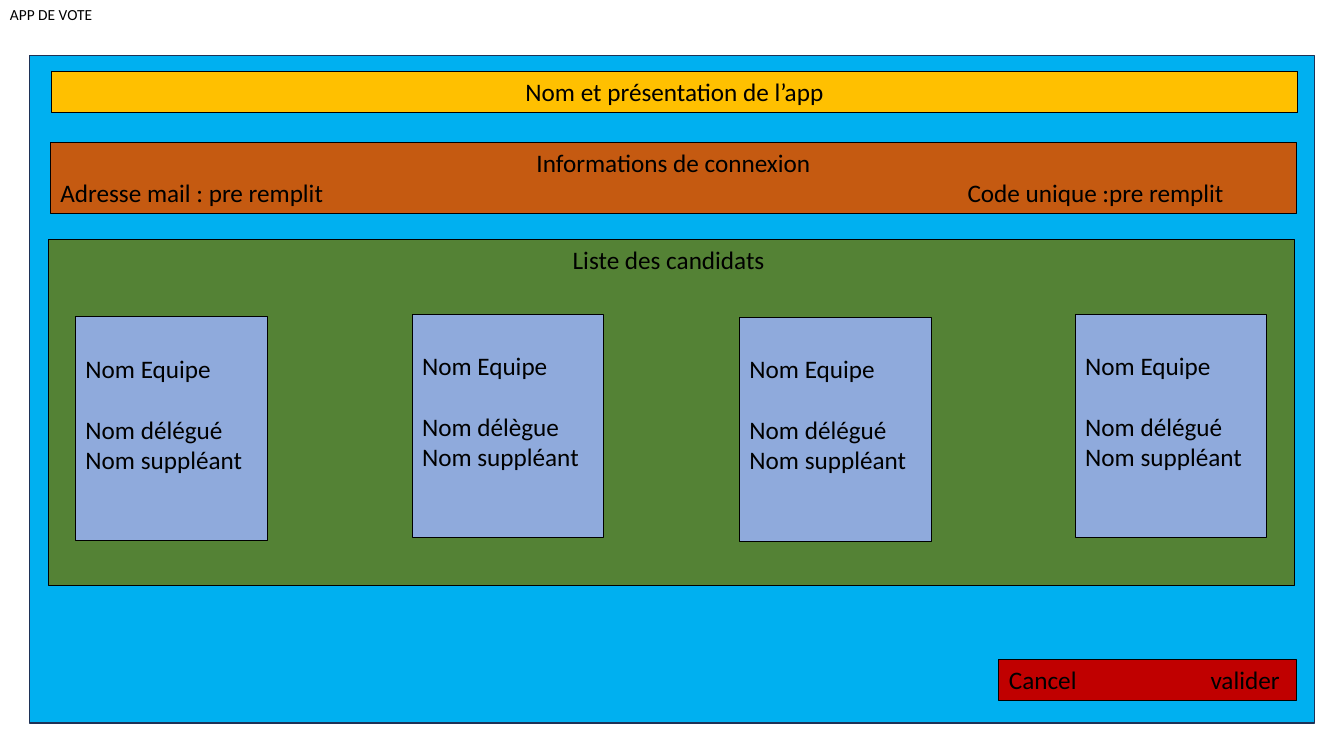
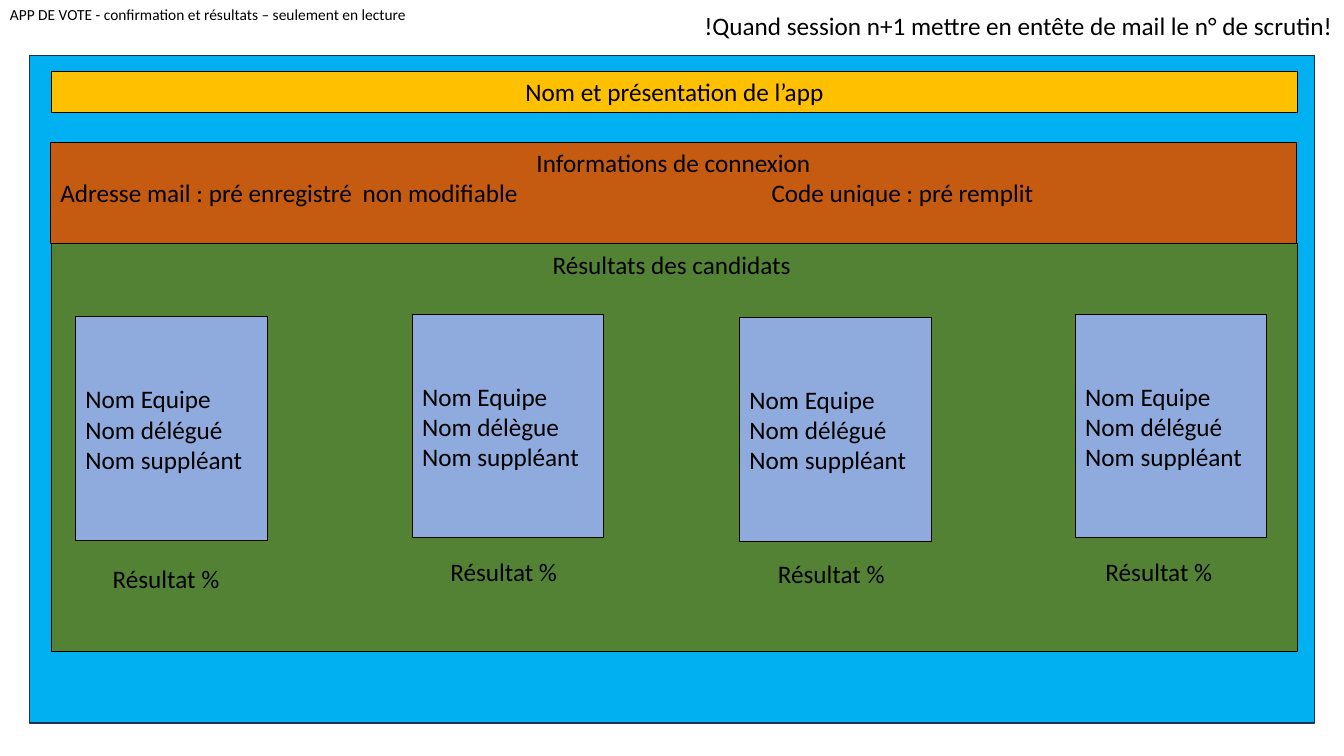
"""Build the two screen mock-ups of the voting application."""
from dataclasses import dataclass
from typing import NamedTuple

from lxml import etree
from pptx import Presentation
from pptx.dml.color import RGBColor
from pptx.enum.shapes import MSO_SHAPE
from pptx.enum.text import MSO_ANCHOR, PP_ALIGN
from pptx.oxml.ns import qn
from pptx.util import Pt

RECT = MSO_SHAPE.RECTANGLE
TOP = MSO_ANCHOR.TOP
LEFT, CENTER = PP_ALIGN.LEFT, PP_ALIGN.CENTER


@dataclass(frozen=True)
class Theme:
    font: str = "Calibri"
    title_size: float = 11
    body_size: float = 18
    line_height: float = 22
    inset: float = 3.6
    text: str = "000000"
    border: str = "000000"
    frame: str = "00B0F0"
    frame_border: str = "1E3256"
    header: str = "FFC000"
    login: str = "C55A11"
    panel: str = "548235"
    card: str = "8FAADC"
    buttons: str = "C00000"


class Box(NamedTuple):
    left: float
    top: float
    width: float
    height: float


class Line(NamedTuple):
    columns: tuple[str, ...]
    align: PP_ALIGN = LEFT
    tabs: tuple[float, ...] = ()
    before: float = 0


class Candidate(NamedTuple):
    left: float
    top: float
    delegate: str
    result_left: float
    result_top: float


@dataclass(frozen=True)
class Screen:
    title: str
    login_height: float
    login_line: Line
    panel: Box
    panel_title: str
    lines_above: int
    delegate_gap: float


THEME = Theme()
FRAME = Box(20.9, 39.6, 918, 476.8)
HEADER = Box(36.8, 51.1, 890, 29.1)
BUTTONS = Box(713.6, 471.2, 212.6, 29.1)
NOTICE = Box(496, 3.6, 464, 29)
LOGIN_LEFT, LOGIN_TOP, LOGIN_WIDTH = 36, 101.5, 890
CARD_WIDTH, CARD_HEIGHT = 136.9, 159.8

CANDIDATES = (
    Candidate(54, 226.4, "Nom délégué", 73.4, 398.9),
    Candidate(294.4, 224.5, "Nom délègue", 314.6, 393.8),
    Candidate(528.3, 226.8, "Nom délégué", 548.6, 395.3),
    Candidate(768.1, 224.5, "Nom délégué", 782.6, 393.8),
)

VOTE = Screen(
    title="APP DE VOTE",
    login_height=50.9,
    login_line=Line(("Adresse mail : pre remplit", "Code unique :pre remplit"), tabs=(648,)),
    panel=Box(34.6, 171, 890, 247.2),
    panel_title="Liste des candidats ",
    lines_above=1,
    delegate_gap=THEME.line_height,
)
RESULTS = Screen(
    title="APP DE VOTE - confirmation et résultats – seulement en lecture",
    login_height=72.7,
    login_line=Line(
        ("Adresse mail : pré enregistré", "non modifiable", "Code unique : pré remplit"),
        tabs=(216, 508),
    ),
    panel=Box(36.8, 174.3, 890, 290.9),
    panel_title="Résultats des candidats ",
    lines_above=2,
    delegate_gap=0,
)


def set_tabs(p, stops: tuple[float, ...]) -> None:
    tabs = etree.SubElement(p._p.get_or_add_pPr(), qn("a:tabLst"))
    for stop in stops:
        etree.SubElement(tabs, qn("a:tab"), pos=str(Pt(stop)), algn="l")


def write(sp, lines: tuple[Line, ...], *, size: float = THEME.body_size,
          top: float = THEME.inset, color: str = THEME.text) -> None:
    tf = sp.text_frame
    tf.word_wrap = True
    tf.vertical_anchor = TOP
    tf.margin_top = Pt(top)
    for i, line in enumerate(lines):
        p = tf.add_paragraph() if i else tf.paragraphs[0]
        p.alignment = line.align
        p.space_before = Pt(line.before)
        if line.tabs:
            set_tabs(p, line.tabs)
        r = p.add_run()
        r.text = "\t".join(line.columns)
        r.font.name = THEME.font
        r.font.size = Pt(size)
        r.font.color.rgb = RGBColor.from_string(color)


def add_rect(s, box: Box, fill: str, *, border: str = THEME.border, weight: float = 0.75):
    sp = s.shapes.add_shape(RECT, *map(Pt, box))
    sp.shadow.inherit = False
    sp.fill.solid()
    sp.fill.fore_color.rgb = RGBColor.from_string(fill)
    sp.line.color.rgb = RGBColor.from_string(border)
    sp.line.width = Pt(weight)
    return sp


def add_text(s, box: Box, text: str, *, size: float = THEME.body_size) -> None:
    write(s.shapes.add_textbox(*map(Pt, box)), (Line((text,)),), size=size)


def add_card(s, candidate: Candidate, screen: Screen) -> None:
    sp = add_rect(s, Box(candidate.left, candidate.top, CARD_WIDTH, CARD_HEIGHT), THEME.card)
    lines = (
        Line(("Nom Equipe",)),
        Line((candidate.delegate,), before=screen.delegate_gap),
        Line(("Nom suppléant",)),
    )
    write(sp, lines, top=THEME.inset + screen.lines_above * THEME.line_height)


def add_screen(prs, screen: Screen):
    s = prs.slides.add_slide(prs.slide_layouts[6])
    add_text(s, Box(0, 0, 400, 20.6), screen.title, size=THEME.title_size)
    add_rect(s, FRAME, THEME.frame, border=THEME.frame_border, weight=1)
    login = add_rect(s, Box(LOGIN_LEFT, LOGIN_TOP, LOGIN_WIDTH, screen.login_height), THEME.login)
    write(login, (Line(("Informations de connexion",), CENTER), screen.login_line))
    panel = add_rect(s, screen.panel, THEME.panel)
    write(panel, (Line((screen.panel_title,), CENTER),))
    for candidate in CANDIDATES:
        add_card(s, candidate, screen)
    header = add_rect(s, HEADER, THEME.header)
    write(header, (Line(("Nom et présentation de l’app",), CENTER),))
    return s


def main() -> None:
    prs = Presentation()
    prs.slide_width, prs.slide_height = Pt(960), Pt(540)

    s = add_screen(prs, VOTE)
    buttons = add_rect(s, BUTTONS, THEME.buttons)
    write(buttons, (Line(("Cancel", "valider"), tabs=(144,)),))

    s = add_screen(prs, RESULTS)
    for candidate in CANDIDATES:
        add_text(s, Box(candidate.result_left, candidate.result_top, 100, 29), "Résultat %")
    add_text(s, NOTICE, "!Quand session n+1 mettre en entête de mail le n° de scrutin!")

    prs.save("out.pptx")


if __name__ == "__main__":
    main()
